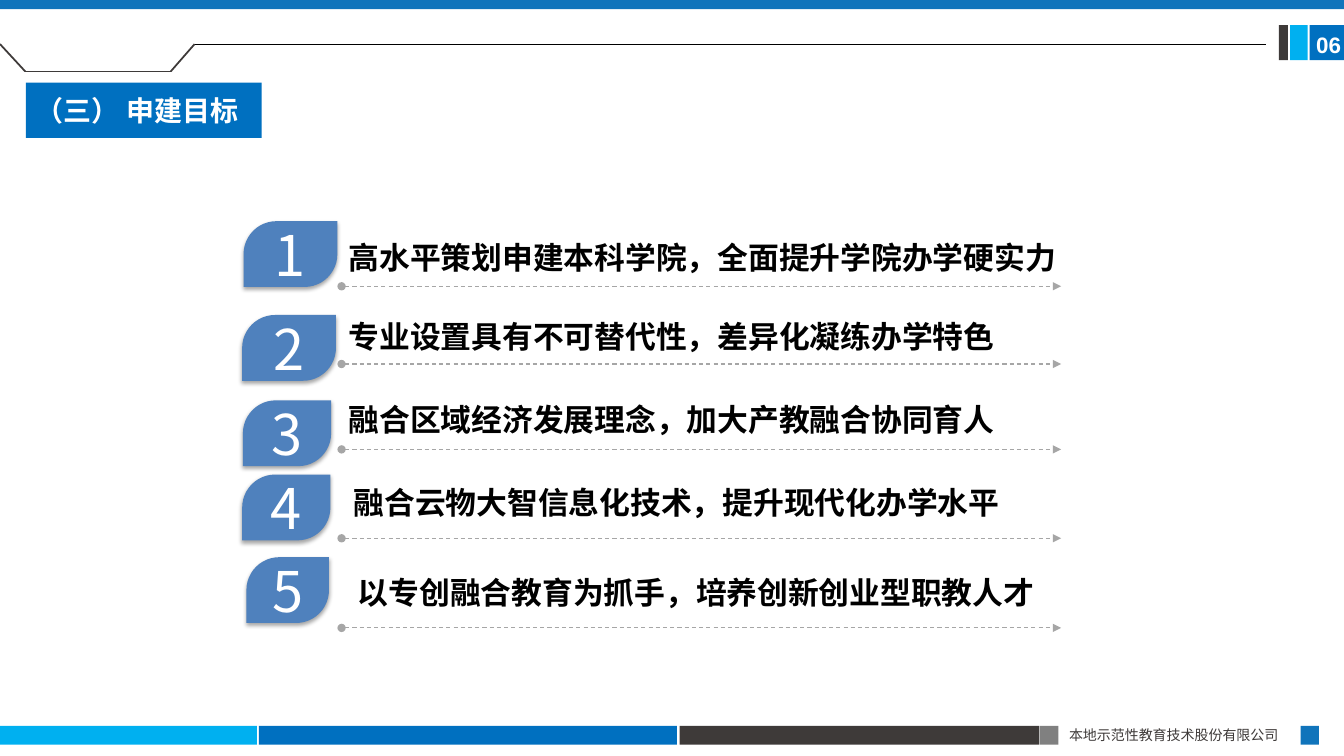
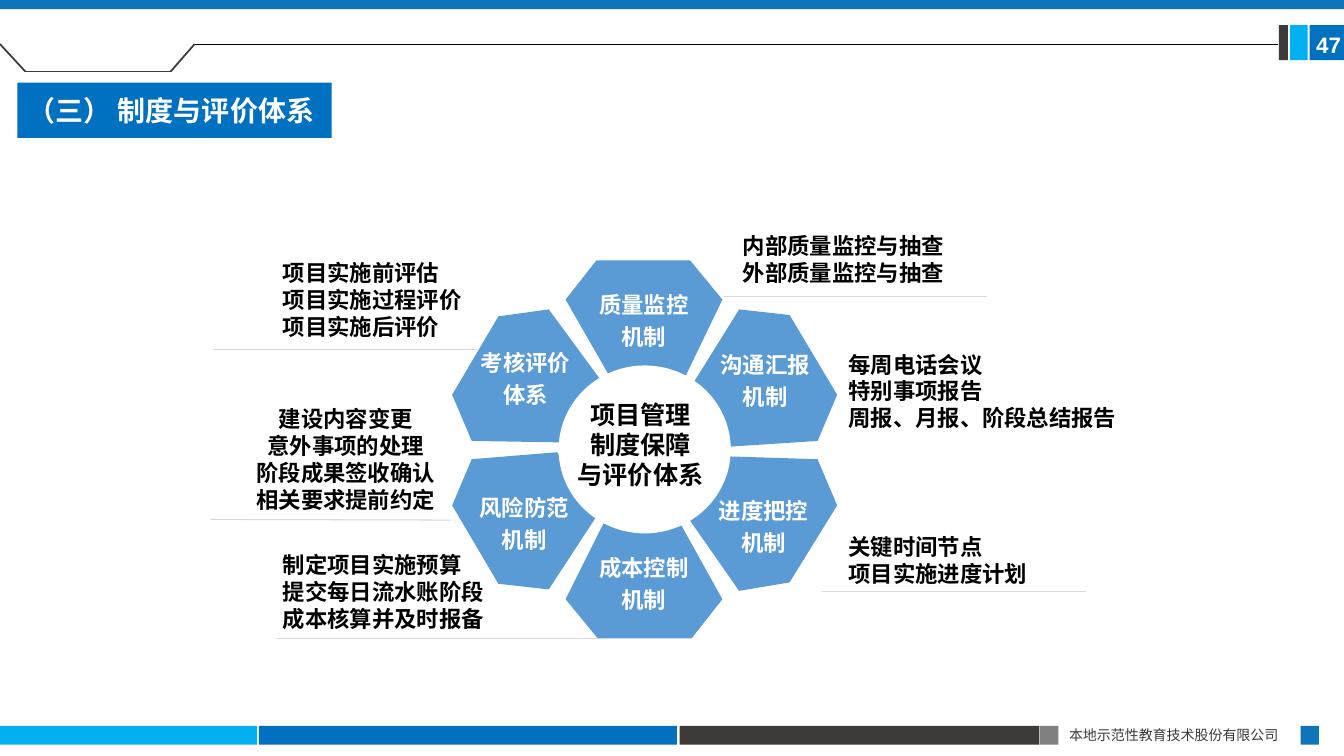
"""Build two slides on project goals and the review system."""
import dataclasses

import lxml.etree
import pptx
import pptx.dml.color
import pptx.enum.dml
import pptx.enum.shapes
import pptx.enum.text
import pptx.oxml.ns
import pptx.util

Pt = pptx.util.Pt
FORM = pptx.enum.shapes.MSO_SHAPE
ALIGN = pptx.enum.text.PP_ALIGN
ANCHOR = pptx.enum.text.MSO_ANCHOR
qn = pptx.oxml.ns.qn


@dataclasses.dataclass(frozen=True)
class Theme:
    """Hold the colours, fonts and type sizes."""
    blue: str = "0070C0"
    band: str = "1074BB"
    sky: str = "00B0F0"
    dark: str = "3E3A39"
    gray: str = "808080"
    badge: str = "4F81BD"
    petal: str = "5B9BD5"
    dash: str = "A6A6A6"
    pale: str = "D9D9D9"
    black: str = "000000"
    white: str = "FFFFFF"
    font: str = "Noto Sans CJK SC"
    latin: str = "Arial"
    tiny: int = 10
    small: int = 16
    core: int = 18
    head: int = 20
    goal: int = 22
    digit: int = 40


T = Theme()
LOOKS = {
    "firm": dict(size=T.tiny, color=T.dark, lead=12),
    "page": dict(size=T.small, bold=True, color=T.white, name=T.latin),
    "head": dict(size=T.head, bold=True, color=T.white),
    "digit": dict(size=T.digit, color=T.white),
    "goal": dict(size=T.goal, bold=True, color=T.black, lead=28),
    "petal": dict(size=T.small, bold=True, color=T.white, lead=23),
    "core": dict(size=T.core, bold=True, color=T.black, lead=21.5),
    "note": dict(size=T.small, bold=True, color=T.black, lead=19.2),
}
BARS = [
    (0, 0, 960, 6.5, T.band),
    (0, 518.5, 183.5, 13.5, T.sky),
    (185, 518.5, 298.5, 13.5, T.blue),
    (485.5, 518.5, 257, 13.5, T.dark),
    (743, 518.5, 13, 13.5, T.gray),
    (929, 518.5, 13, 13.5, T.band),
    (935.5, 18, 24.5, 25, T.blue),
    (921.5, 18, 12.5, 25, T.sky),
    (913.5, 18, 6.5, 25, T.dark),
]
NOTCH = [(0, 31.5), (18, 51), (122, 51), (139, 31.5)]
GOALS = [
    (174, 158, 67, 242, 165, 204.5, "高水平策划申建本科学院，全面提升学院办学硬实力"),
    (173, 225, 67, 242, 222, 260, "专业设置具有不可替代性，差异化凝练办学特色"),
    (173.5, 286, 63, 242, 281, 321, "融合区域经济发展理念，加大产教融合协同育人"),
    (173, 339, 63, 245.5, 340.5, 384.5, "融合云物大智信息化技术，提升现代化办学水平"),
    (176, 398, 59, 248.5, 404.5, 448.5, "以专创融合教育为抓手，培养创新创业型职教人才"),
]
PETALS = [
    ("质量监控", "机制", [(426, 186), (493, 186), (516, 214), (490, 268), (435, 268), (404, 214)]),
    ("沟通汇报", "机制", [(528, 221), (564, 225), (598, 282), (584, 315), (522, 319), (495, 274)]),
    ("进度把控", "机制", [(521, 326), (584, 328), (598, 361), (564, 416), (528, 422), (493, 372)]),
    ("成本控制", "机制", [(431, 374), (486, 374), (516, 428), (494, 456), (427, 456), (404, 428)]),
    ("风险防范", "机制", [(398, 323), (426, 369), (392, 421), (356, 417), (323, 361), (337, 328)]),
    ("考核评价", "体系", [(392, 221), (428, 270), (400, 316), (337, 315), (323, 282), (356, 226)]),
]
NOTES = [
    (523.5, 162, 165, ALIGN.LEFT, ["内部质量监控与抽查", "外部质量监控与抽查"]),
    (599, 247, 210, ALIGN.LEFT, ["每周电话会议", "特别事项报告", "周报、月报、阶段总结报告"]),
    (599, 377.5, 150, ALIGN.LEFT, ["关键时间节点", "项目实施进度计划"]),
    (175, 286, 144, ALIGN.CENTER,
     ["建设内容变更", "意外事项的处理", "阶段成果签收确认", "相关要求提前约定"]),
    (195, 390, 165, ALIGN.LEFT, ["制定项目实施预算", "提交每日流水账阶段", "成本核算并及时报备"]),
    (195, 181.5, 150, ALIGN.LEFT, ["项目实施前评估", "项目实施过程评价", "项目实施后评价"]),
]
RULES = [
    (517, 211.5, 705, 211.5), (587.5, 422.5, 775.5, 422.5), (150.5, 371, 322.5, 371.5),
    (198, 456, 427, 456), (152.5, 250, 340.5, 250),
]


def rgb(code):
    """Turn a hex code into a colour."""
    return pptx.dml.color.RGBColor.from_string(code)


def apply(item, values):
    """Set each named value on an item."""
    for key, value in values.items():
        setattr(item, key, value)


def write(shape, lines, look, align=ALIGN.LEFT, **frame):
    """Fill a shape with styled lines of text."""
    style = dict(name=T.font) | LOOKS[look]
    color, lead = style.pop("color"), style.pop("lead", None)
    style["size"] = Pt(style["size"])
    body = shape.text_frame
    apply(body, dict(word_wrap=True) | frame)
    body.text = "\n".join(lines)
    for para in body.paragraphs:
        apply(para, dict(alignment=align, line_spacing=lead and Pt(lead)))
        for run in para.runs:
            apply(run.font, style)
            run.font.color.rgb = rgb(color)
            face = lxml.etree.SubElement(run._r.get_or_add_rPr(), qn("a:ea"))
            face.set("typeface", T.font)


def paint(shape, color):
    """Give a shape a flat fill with no line or shadow."""
    shape.shadow.inherit = False
    shape.fill.solid()
    shape.fill.fore_color.rgb = rgb(color)
    shape.line.fill.background()
    return shape


def block(slide, x, y, w, h, color, form=FORM.RECTANGLE):
    """Add a flat preset shape."""
    return paint(slide.shapes.add_shape(form, Pt(x), Pt(y), Pt(w), Pt(h)), color)


def label(slide, x, y, w, h, lines, look, align=ALIGN.LEFT, **frame):
    """Add a text box."""
    box = slide.shapes.add_textbox(Pt(x), Pt(y), Pt(w), Pt(h))
    write(box, lines, look, align, **frame)


def rule(slide, x1, y1, x2, y2, color, width, arrow=False):
    """Add a line, dashed with end marks if it is an arrow."""
    kind = pptx.enum.shapes.MSO_CONNECTOR.STRAIGHT
    link = slide.shapes.add_connector(kind, Pt(x1), Pt(y1), Pt(x2), Pt(y2))
    link.line.color.rgb = rgb(color)
    link.line.width = Pt(width)
    props = link._element.spPr
    if arrow:
        link.line.dash_style = pptx.enum.dml.MSO_LINE.DASH
        for tag, mark in (("a:headEnd", "oval"), ("a:tailEnd", "triangle")):
            lxml.etree.SubElement(props.find(qn("a:ln")), qn(tag)).set("type", mark)
    lxml.etree.SubElement(props, qn("a:effectLst"))


def shade(shape):
    """Cast a soft shadow below a shape."""
    glow = shape._element.spPr.find(qn("a:effectLst"))
    cast = lxml.etree.SubElement(glow, qn("a:outerShdw"))
    for key, value in dict(blurRad=Pt(3), dist=Pt(1.8), dir=5400000, rotWithShape=0).items():
        cast.set(key, str(int(value)))
    tone = lxml.etree.SubElement(cast, qn("a:srgbClr"), val=T.black)
    lxml.etree.SubElement(tone, qn("a:alpha"), val="35000")


def frame(deck, page, title, x, w, end):
    """Add a slide with bands, footer, page number and title."""
    slide = deck.slides.add_slide(deck.slide_layouts[6])
    for bar in BARS:
        block(slide, *bar)
    for start, stop in zip(NOTCH, NOTCH[1:]):
        rule(slide, *start, *stop, T.dark, 1.25)
    rule(slide, *NOTCH[-1], end, NOTCH[-1][1], T.black, 0.5)
    label(slide, 756.5, 515.5, 173, 19.5, ["本地示范性教育技术股份有限公司"], "firm", ALIGN.JUSTIFY)
    label(slide, 933, 19, 27, 26.5, [page], "page", margin_right=0)
    write(block(slide, x, 59, w, 39.5, T.blue), [title], "head", vertical_anchor=ANCHOR.MIDDLE)
    return slide


def goal(slide, rank, x, y, w, left, top, base, text):
    """Add a numbered goal above a dashed arrow."""
    badge = block(slide, x, y, w, 47, T.badge, FORM.ROUND_2_DIAG_RECTANGLE)
    badge.adjustments[0] = 0.5
    badge.adjustments[1] = 0
    shade(badge)
    write(badge, [str(rank)], "digit", ALIGN.CENTER, vertical_anchor=ANCHOR.MIDDLE)
    label(slide, left, top, 525, 34, [text], "goal")
    rule(slide, 244, base, 758, base, T.dash, 0.75, arrow=True)


def petal(slide, lines, dots):
    """Add one labelled petal of the ring."""
    pen = slide.shapes.build_freeform(*dots[0], scale=float(Pt(1)))
    pen.add_line_segments(dots[1:], close=True)
    shape = paint(pen.convert_to_shape(), T.petal)
    write(shape, lines, "petal", ALIGN.CENTER, vertical_anchor=ANCHOR.MIDDLE,
          margin_left=0, margin_right=0)


def goals(deck):
    """Build the slide of goals."""
    slide = frame(deck, "06", "（三） 申建目标", 18.5, 168.5, 904)
    for rank, row in enumerate(GOALS, 1):
        goal(slide, rank, *row)


def system(deck):
    """Build the slide of the review system."""
    slide = frame(deck, "47", "（三） 制度与评价体系", 12.5, 224.5, 913)
    for first, last, dots in PETALS:
        petal(slide, [first, last], dots)
    block(slide, 399, 261, 123, 120, T.white, FORM.OVAL)
    label(slide, 391.5, 282, 132, 78.5, ["项目管理", "制度保障", "与评价体系"], "core", ALIGN.CENTER)
    for ends in RULES:
        rule(slide, *ends, T.pale, 0.75)
    for x, y, w, align, lines in NOTES:
        label(slide, x, y, w, 7.2 + 19.2 * len(lines), lines, "note", align)


def main():
    """Build and save the deck."""
    deck = pptx.Presentation()
    apply(deck, dict(slide_width=Pt(960), slide_height=Pt(540)))
    goals(deck)
    system(deck)
    deck.save("out.pptx")


if __name__ == "__main__":
    main()
